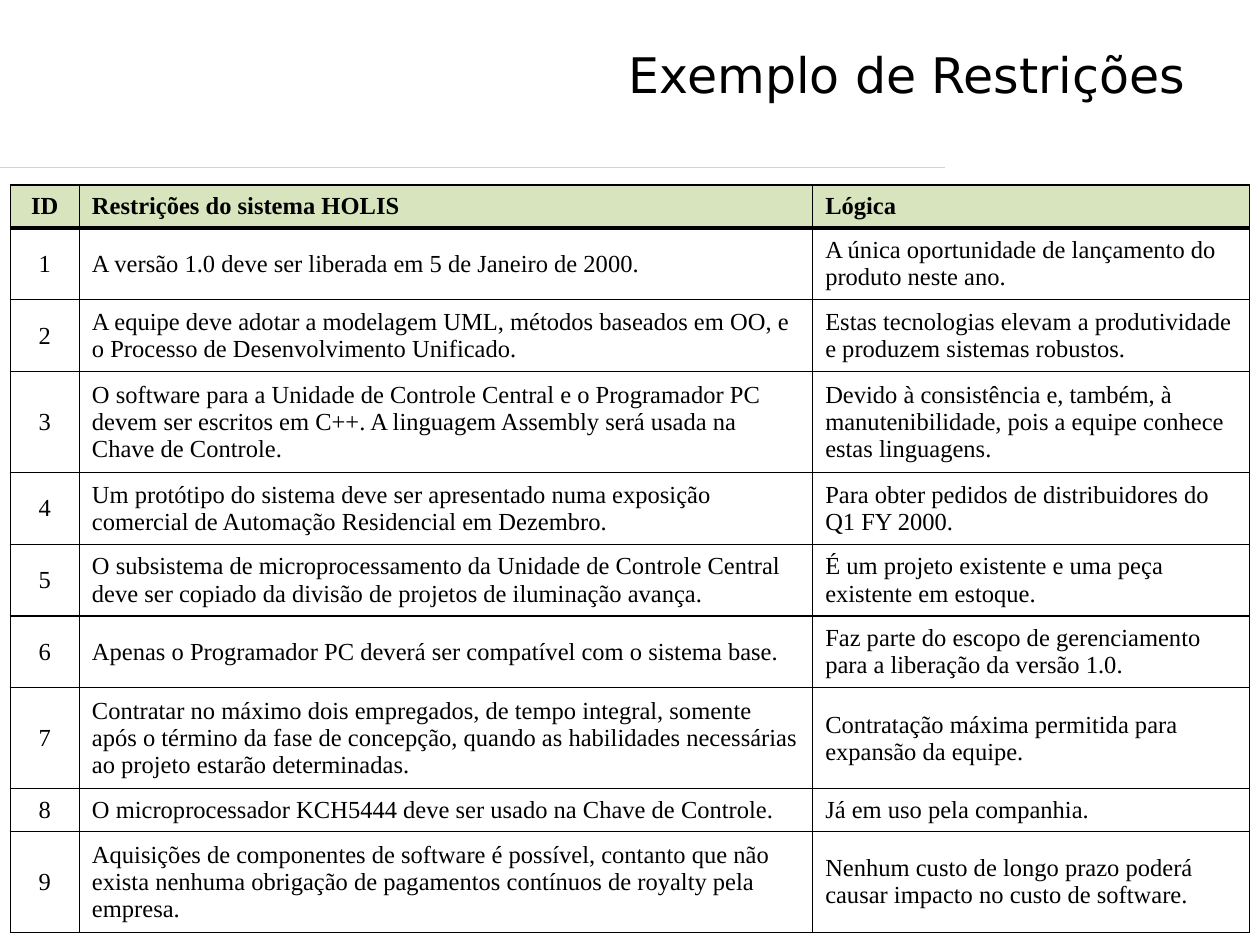
import lxml.etree
import pptx
import pptx.dml.color
import pptx.enum.shapes
import pptx.enum.text
import pptx.oxml.ns
import pptx.util

inch = pptx.util.Inches
qn = pptx.oxml.ns.qn
align = pptx.enum.text.PP_ALIGN
anchor = pptx.enum.text.MSO_ANCHOR

HUES = {"ink": "000000", "head": "D7E4BD", "rule": "C4D6EB"}
COLS = [0.55, 5.82, 3.47]
LINES = {1: 0.34, 2: 0.57, 3: 0.8}  # row height by lines of text
ROWS = [
    (1, "ID", "Restrições do sistema HOLIS", "Lógica"),
    (2, "1", "A versão 1.0 deve ser liberada em 5 de Janeiro de 2000.",
     "A única oportunidade de lançamento do produto neste ano."),
    (2, "2", "A equipe deve adotar a modelagem UML, métodos baseados em OO, "
     "e o Processo de Desenvolvimento Unificado.",
     "Estas tecnologias elevam a produtividade e produzem sistemas robustos."),
    (3, "3", "O software para a Unidade de Controle Central e o Programador PC "
     "devem ser escritos em C++. A linguagem Assembly será usada na Chave de Controle.",
     "Devido à consistência e, também, à manutenibilidade, pois a equipe "
     "conhece estas linguagens."),
    (2, "4", "Um protótipo do sistema deve ser apresentado numa exposição "
     "comercial de Automação Residencial em Dezembro.",
     "Para obter pedidos de distribuidores do Q1 FY 2000."),
    (2, "5", "O subsistema de microprocessamento da Unidade de Controle Central "
     "deve ser copiado da divisão de projetos de iluminação avança.",
     "É um projeto existente e uma peça existente em estoque."),
    (2, "6", "Apenas o Programador PC deverá ser compatível com o sistema base.",
     "Faz parte do escopo de gerenciamento para a liberação da versão 1.0."),
    (3, "7", "Contratar no máximo dois empregados, de tempo integral, somente "
     "após o término da fase de concepção, quando as habilidades necessárias "
     "ao projeto estarão determinadas.",
     "Contratação máxima permitida para expansão da equipe."),
    (1, "8", "O microprocessador KCH5444 deve ser usado na Chave de Controle.",
     "Já em uso pela companhia."),
    (3, "9", "Aquisições de componentes de software é possível, contanto que não "
     "exista nenhuma obrigação de pagamentos contínuos de royalty pela empresa.",
     "Nenhum custo de longo prazo poderá causar impacto no custo de software."),
]


def tint(name):
    return pptx.dml.color.RGBColor.from_string(HUES[name])


def write(para, text, face, size, bold=False):
    run = para.add_run()
    run.text = text
    run.font.name = face
    run.font.size = pptx.util.Pt(size)
    run.font.bold = bold
    run.font.color.rgb = tint("ink")


deck = pptx.Presentation()
deck.slide_width, deck.slide_height = inch(10), inch(7.5)
slide = deck.slides.add_slide(deck.slide_layouts[6])

# Rule under the title, three quarters of the slide wide
rule = slide.shapes.add_connector(
    pptx.enum.shapes.MSO_CONNECTOR.STRAIGHT,
    0, inch(1.33), int(deck.slide_width * 0.75), inch(1.33))
rule.line.color.rgb = tint("rule")
rule.line.width = pptx.util.Pt(0.75)
lxml.etree.SubElement(rule._element.spPr, qn("a:effectLst"))

# Title
title = slide.shapes.add_textbox(inch(0.5), inch(0.3), inch(9), inch(1.25))
title.text_frame.word_wrap = True
para = title.text_frame.paragraphs[0]
para.alignment = align.RIGHT
write(para, "Exemplo de Restrições", "DejaVu Sans", 28)

# Table of constraints
high = [LINES[row[0]] for row in ROWS]
last = len(ROWS) - 1
table = slide.shapes.add_table(
    len(ROWS), len(COLS), inch(0.08), inch(1.47),
    inch(sum(COLS)), inch(sum(high))).table
table.first_row = table.horz_banding = False
for col, width in zip(table.columns, COLS):
    col.width = inch(width)
for row, height in zip(table.rows, high):
    row.height = inch(height)

for r, (_, *texts) in enumerate(ROWS):
    top = {0: 1, 1: 3}.get(r, 0.75)
    base = {0: 3, last: 1}.get(r, 0.75)
    for c, text in enumerate(texts):
        cell = table.cell(r, c)
        cell.vertical_anchor = anchor.MIDDLE
        props = cell._tc.get_or_add_tcPr()
        for side, width in zip("LRTB", (0.75, 0.75, top, base)):
            edge = lxml.etree.SubElement(
                props, qn("a:ln" + side), w=str(pptx.util.Pt(width)))
            fill = lxml.etree.SubElement(edge, qn("a:solidFill"))
            lxml.etree.SubElement(fill, qn("a:srgbClr"), val=HUES["ink"])
        if r == 0:
            cell.fill.solid()
            cell.fill.fore_color.rgb = tint("head")
        else:
            cell.fill.background()
        para = cell.text_frame.paragraphs[0]
        para.alignment = align.LEFT if c else align.CENTER
        if r == 0 or c == 0:
            hang = para._p.get_or_add_pPr()
            hang.set("marL", str(inch(0.38)))
            hang.set("indent", str(-inch(0.38)))
        write(para, text, "Times New Roman", 14, r == 0)

deck.save("out.pptx")
